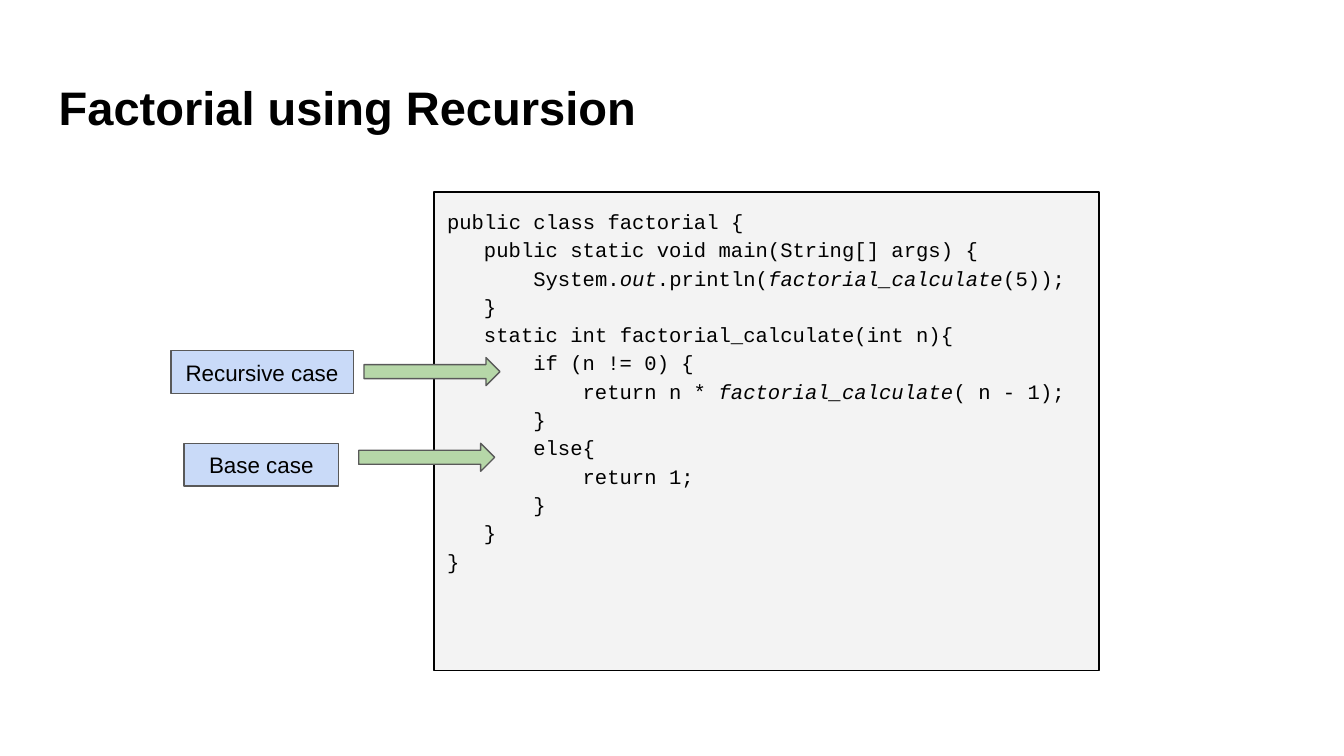
from pptx import Presentation, util as u
from pptx.dml.color import RGBColor
from pptx.enum import shapes, text

BLACK, GREY = "000000", "595959"
CODE_SIZE = 11
CHARACTER_WIDTH = CODE_SIZE * 0.6  # points, monospaced font

# Code lines: indent in characters, then runs alternating upright and italic
CODE = [
    (0, ["public class factorial {"]),
    (3, ["public static void main(String[] args) {"]),
    (7, ["System.", "out", ".println(", "factorial_calculate", "(5));"]),
    (3, ["}"]),
    (3, ["static int factorial_calculate(int n){"]),
    (7, ["if (n != 0) {"]),
    (11, ["return n * ", "factorial_calculate", "( n - 1);"]),
    (7, ["}"]),
    (7, ["else{"]),
    (11, ["return 1;"]),
    (7, ["}"]),
    (3, ["}"]),
    (0, ["}"]),
]

# Cases: label, label box (left, top, width), arrow (left, top)
CASES = [
    ("Base case", (3.48, 8.38, 2.92), (6.78, 8.38)),
    ("Recursive case", (3.23, 6.63, 3.45), (6.88, 6.76)),
]


def color(value):
    return RGBColor.from_string(value)


def set_frame(shape, anchor):
    frame = shape.text_frame
    frame.word_wrap = True
    frame.vertical_anchor = anchor
    frame.margin_left = frame.margin_right = u.Cm(0.25)
    frame.margin_top = frame.margin_bottom = u.Cm(0.25)
    return frame


def add_run(paragraph, content, size, font="Arial", bold=False, italic=False):
    run = paragraph.add_run()
    run.text = content
    run.font.name = font
    run.font.size = u.Pt(size)
    run.font.bold = bold
    run.font.italic = italic
    run.font.color.rgb = color(BLACK)


def add_block(slide, kind, left, top, width, height, fill, line):
    shape = slide.shapes.add_shape(
        kind, u.Cm(left), u.Cm(top), u.Cm(width), u.Cm(height))
    shape.shadow.inherit = False
    shape.fill.solid()
    shape.fill.fore_color.rgb = color(fill)
    shape.line.color.rgb = color(line)
    shape.line.width = u.Pt(0.75)
    return shape


def add_title(slide, content):
    box = slide.shapes.add_textbox(
        u.Cm(0.86), u.Cm(1.24), u.Cm(23.67), u.Cm(1.6))
    frame = set_frame(box, text.MSO_ANCHOR.TOP)
    add_run(frame.paragraphs[0], content, 25.2, bold=True)


def add_code(slide):
    panel = add_block(slide, shapes.MSO_SHAPE.RECTANGLE,
                      8.2, 3.63, 12.57, 9.04, "F3F3F3", BLACK)
    frame = set_frame(panel, text.MSO_ANCHOR.TOP)
    for number, (indent, parts) in enumerate(CODE):
        paragraph = frame.add_paragraph() if number else frame.paragraphs[0]
        paragraph.alignment = text.PP_ALIGN.LEFT
        paragraph.line_spacing = 1.15
        properties = paragraph._p.get_or_add_pPr()
        properties.set("marL", str(u.Pt(indent * CHARACTER_WIDTH)))
        properties.set("indent", "0")
        for position, part in enumerate(parts):
            add_run(paragraph, part, CODE_SIZE, "Courier New",
                    italic=position % 2 == 1)


def add_label(slide, content, left, top, width):
    label = add_block(slide, shapes.MSO_SHAPE.RECTANGLE,
                      left, top, width, 0.81, "C9DAF8", GREY)
    paragraph = set_frame(label, text.MSO_ANCHOR.MIDDLE).paragraphs[0]
    paragraph.alignment = text.PP_ALIGN.CENTER
    add_run(paragraph, content, 12)


def add_arrow(slide, left, top):
    add_block(slide, shapes.MSO_SHAPE.RIGHT_ARROW,
              left, top, 2.57, 0.53, "B6D7A8", GREY)


def main():
    presentation = Presentation()
    presentation.slide_width = u.Cm(25.4)
    presentation.slide_height = u.Cm(14.29)
    slide = presentation.slides.add_slide(presentation.slide_layouts[6])

    # Title and code panel
    add_title(slide, "Factorial using Recursion")
    add_code(slide)

    # Labelled arrows pointing into the code
    for content, box, arrow in CASES:
        add_label(slide, content, *box)
        add_arrow(slide, *arrow)

    presentation.save("out.pptx")


if __name__ == "__main__":
    main()
